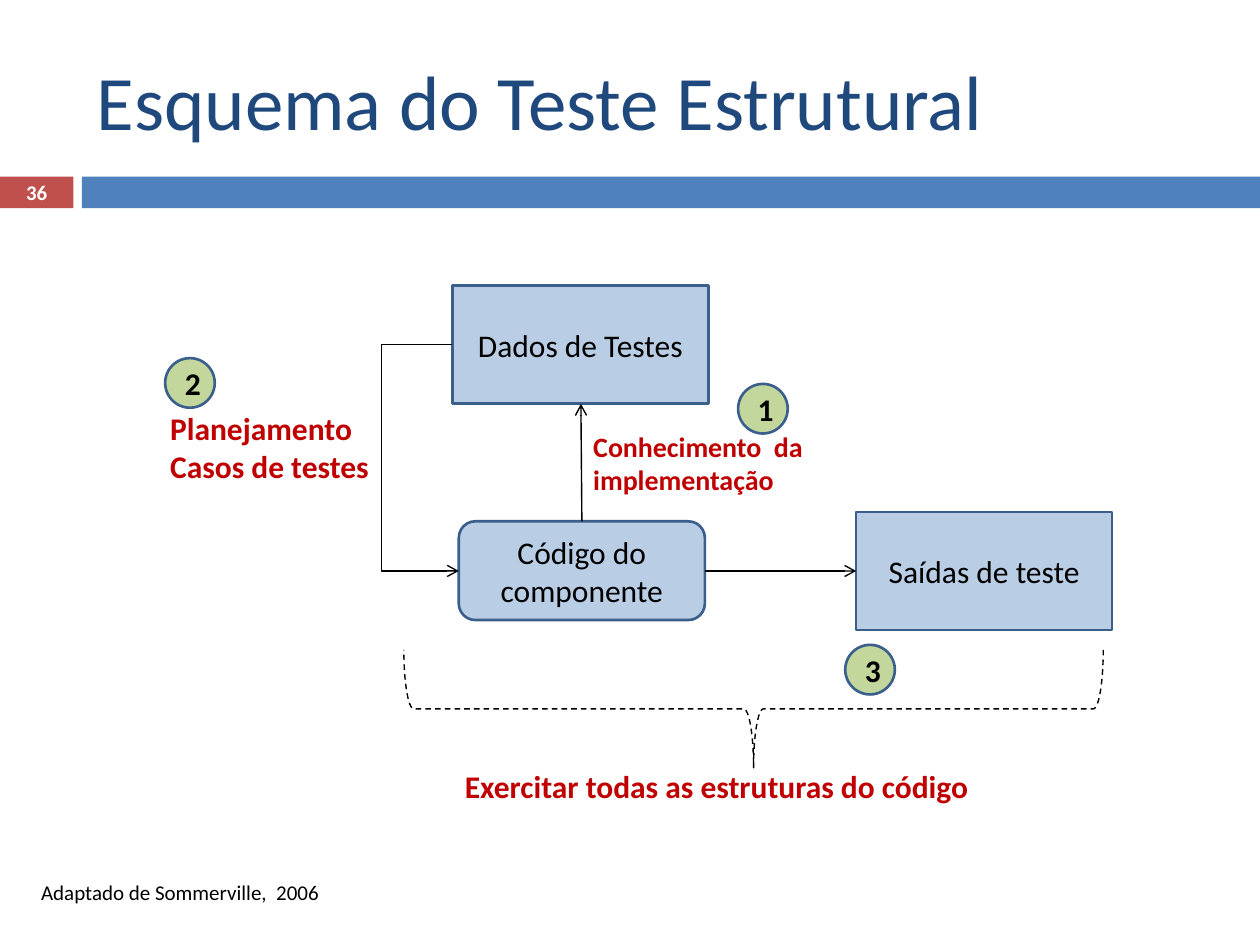
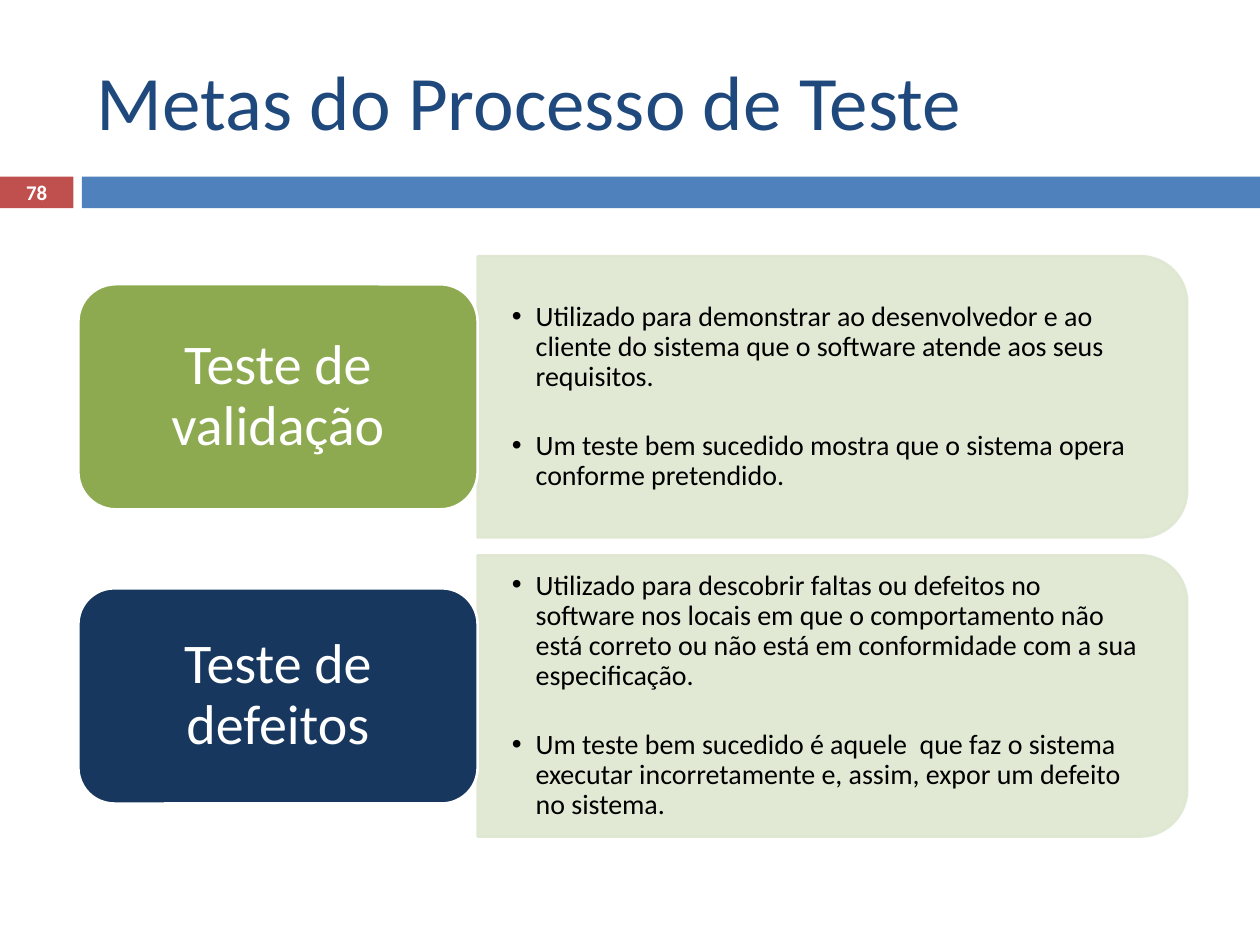
"""Two slides on software testing: structural test scheme and test process goals."""
from dataclasses import dataclass

from lxml import etree
from pptx import Presentation
from pptx import util as u
from pptx.dml.color import RGBColor
from pptx.enum import dml, shapes, text
from pptx.oxml.ns import qn

SHAPE = shapes.MSO_SHAPE
LEFT, CENTER = text.PP_ALIGN.LEFT, text.PP_ALIGN.CENTER
TOP, MIDDLE = text.MSO_ANCHOR.TOP, text.MSO_ANCHOR.MIDDLE


@dataclass(frozen=True)
class Theme:
    """Colours, font and type sizes shared by the slides."""
    font: str = "Calibri"
    heading: str = "1F497D"
    number_band: str = "C0504D"
    title_band: str = "4F81BD"
    ink: str = "000000"
    paper: str = "FFFFFF"
    accent: str = "C00000"
    box: str = "B9CDE5"
    badge: str = "C3D69B"
    outline: str = "3A5F8C"
    panel: str = "DEE7D1"
    validation: str = "8DAA51"
    defects: str = "17375E"
    title_size: float = 44
    goal_size: float = 32
    body_size: float = 18
    detail_size: float = 16
    source_size: float = 12
    number_size: float = 11.9
    outline_width: float = 1.5
    arrow_width: float = 0.79


THEME = Theme()


def rgb(color):
    """Turn a hex string into a colour."""
    return RGBColor.from_string(color)


def sub(parent, tag, **attributes):
    """Append a DrawingML element with the given attributes."""
    return etree.SubElement(parent, qn(tag), attributes)


def write(shape, lines, size, color=THEME.ink, bold=False, align=LEFT,
          anchor=TOP, margins=None, spacing=None):
    """Write one paragraph per line and return the paragraphs."""
    frame = shape.text_frame
    frame.word_wrap = True
    frame.vertical_anchor = anchor
    if margins:
        side, edge = (u.Cm(margin) for margin in margins)
        frame.margin_left = frame.margin_right = side
        frame.margin_top = frame.margin_bottom = edge
    for index, line in enumerate(lines):
        paragraph = frame.paragraphs[0] if index == 0 else frame.add_paragraph()
        paragraph.alignment = align
        paragraph.line_spacing = spacing
        run = paragraph.add_run()
        run.text = line
        run.font.name = THEME.font
        run.font.size = u.Pt(size)
        run.font.bold = bold
        run.font.color.rgb = rgb(color)
    return frame.paragraphs


def add_label(slide, area, lines, size, **style):
    """Add a text box over the area and return its paragraphs."""
    return write(slide.shapes.add_textbox(*map(u.Cm, area)), lines, size, **style)


def add_figure(slide, kind, area, fill=None, line=None, width=THEME.outline_width):
    """Add a flat preset shape."""
    figure = slide.shapes.add_shape(kind, *map(u.Cm, area))
    figure.shadow.inherit = False
    if fill:
        figure.fill.solid()
        figure.fill.fore_color.rgb = rgb(fill)
    else:
        figure.fill.background()
    if line:
        figure.line.color.rgb = rgb(line)
        figure.line.width = u.Pt(width)
    else:
        figure.line.fill.background()
    return figure


def add_node(slide, kind, area, caption):
    """Add a captioned diagram box."""
    node = add_figure(slide, kind, area, THEME.box, THEME.outline)
    write(node, [caption], THEME.body_size, align=CENTER, anchor=MIDDLE)


def add_badge(slide, left, top, step):
    """Add a numbered circle."""
    badge = add_figure(slide, SHAPE.OVAL, (left, top, 1, 1), THEME.badge, THEME.outline)
    write(badge, [step], THEME.body_size, bold=True, align=CENTER, anchor=MIDDLE)


def add_arrow(slide, start, end, elbow_x=None):
    """Add an arrow, bent through elbow_x when that is given."""
    kind = shapes.MSO_CONNECTOR
    arrow = slide.shapes.add_connector(
        kind.STRAIGHT if elbow_x is None else kind.ELBOW, *map(u.Cm, start + end))
    arrow.line.color.rgb = rgb(THEME.ink)
    arrow.line.width = u.Pt(THEME.arrow_width)
    sub(arrow.line._get_or_add_ln(), "a:tailEnd", type="arrow")
    properties = arrow._element.spPr
    sub(properties, "a:effectLst")
    if elbow_x is not None:
        bend = round((elbow_x - start[0]) / (end[0] - start[0]) * 100000)
        guides = properties.find(qn("a:prstGeom")).find(qn("a:avLst"))
        sub(guides, "a:gd", name="adj1", fmla=f"val {bend}")


def add_bullets(slide, area, points):
    """Add a bulleted list set apart by paragraph spacing."""
    paragraphs = add_label(slide, area, points, THEME.detail_size, anchor=MIDDLE,
                           margins=(0.69, 0.36), spacing=0.9)
    for paragraph in paragraphs:
        properties = paragraph._p.get_or_add_pPr()
        hang = u.Cm(0.48)
        properties.set("marL", str(hang))
        properties.set("indent", str(-hang))
        sub(properties, "a:buFont", typeface="Arial")
        sub(properties, "a:buChar", char="•")
    for paragraph in paragraphs[1:]:
        paragraph.space_before = u.Pt(22)


def add_goal(slide, middle, height, color, goal, points):
    """Add a goal tile and its panel, both centred on the middle height."""
    left, tile_width, panel_width, panel_height = 1.58, 8.05, 14.3, 5.67
    panel_left = left + tile_width
    panel_area = (panel_left + (panel_width - panel_height) / 2,
                  middle - panel_width / 2, panel_height, panel_width)
    panel = add_figure(slide, SHAPE.ROUND_2_SAME_RECTANGLE, panel_area,
                       THEME.panel, THEME.panel)
    panel.rotation = 90
    for paint in panel._element.spPr.iter(qn("a:srgbClr")):
        sub(paint, "a:alpha", val="90000")
    add_bullets(slide, (panel_left, middle - 2.55, 14.02, 5.1), points)
    tile = add_figure(slide, SHAPE.ROUNDED_RECTANGLE,
                      (left, middle - height / 2, tile_width, height), color, THEME.paper)
    write(tile, [goal], THEME.goal_size, color=THEME.paper, align=CENTER,
          anchor=MIDDLE, margins=(0.33, 0.18), spacing=0.9)


def add_page(deck, title, number):
    """Add a blank slide with the shared bands, title and number."""
    slide = deck.slides.add_slide(deck.slide_layouts[6])
    number_band = add_figure(slide, SHAPE.RECTANGLE, (0, 3.56, 1.48, 0.64),
                             THEME.number_band)
    write(number_band, [number], THEME.number_size, color=THEME.paper, bold=True,
          align=CENTER, anchor=MIDDLE, margins=(0, 0))
    add_figure(slide, SHAPE.RECTANGLE, (1.65, 3.56, 23.75, 0.64), THEME.title_band)
    add_label(slide, (1.7, 0.64, 22.65, 2.74), [title], THEME.title_size,
              color=THEME.heading, anchor=MIDDLE)
    return slide


def build_scheme(deck):
    """Build the structural test diagram."""
    slide = add_page(deck, "Esquema do Teste Estrutural", "36")
    add_label(slide, (0.58, 17.6, 7.95, 0.76), ["Adaptado de Sommerville,  2006"],
              THEME.source_size)

    add_node(slide, SHAPE.RECTANGLE, (9.12, 5.76, 5.16, 2.38), "Dados de Testes")
    add_node(slide, SHAPE.ROUNDED_RECTANGLE, (9.25, 10.51, 4.96, 1.99),
             "Código do componente")
    add_node(slide, SHAPE.RECTANGLE, (17.26, 10.32, 5.16, 2.38), "Saídas de teste")

    add_arrow(slide, (11.73, 10.51), (11.71, 8.14))
    add_arrow(slide, (14.21, 11.51), (17.26, 11.51))
    add_arrow(slide, (9.12, 6.94), (9.25, 11.51), elbow_x=7.69)

    brace = add_figure(slide, SHAPE.RIGHT_BRACE, (14, 7.24, 2.38, 14.1),
                       line=THEME.ink, width=THEME.arrow_width)
    brace.rotation = 90
    brace.line.dash_style = dml.MSO_LINE.DASH

    remarks = [
        ((3.18, 8.13, 5.94, 1.8), ["Planejamento", "Casos de testes"], THEME.body_size),
        ((11.71, 8.53, 5.94, 1.63), ["Conhecimento  da implementação"],
         THEME.detail_size),
        ((9.12, 15.34, 12.5, 1.02), ["Exercitar todas as estruturas do código"],
         THEME.body_size),
    ]
    for area, lines, size in remarks:
        add_label(slide, area, lines, size, color=THEME.accent, bold=True)

    for left, top, step in [(14.88, 7.74, "1"), (3.33, 7.22, "2"), (17.04, 13, "3")]:
        add_badge(slide, left, top, step)


def build_goals(deck):
    """Build the two test process goals."""
    slide = add_page(deck, "Metas do Processo de Teste", "78")
    add_goal(slide, 8, 4.54, THEME.validation, "Teste de validação", [
        "Utilizado para demonstrar ao desenvolvedor e ao cliente do sistema que o "
        "software atende aos seus requisitos.",
        "Um teste bem sucedido mostra que o sistema opera conforme pretendido.",
    ])
    add_goal(slide, 14.03, 4.34, THEME.defects, "Teste de defeitos", [
        "Utilizado para descobrir faltas ou defeitos no software nos locais em que o "
        "comportamento não está correto ou não está em conformidade com a sua "
        "especificação.",
        "Um teste bem sucedido é aquele  que faz o sistema executar incorretamente e, "
        "assim, expor um defeito no sistema.",
    ])


def main():
    """Build and save the deck."""
    deck = Presentation()
    deck.slide_width, deck.slide_height = u.Cm(25.4), u.Cm(19.05)
    build_scheme(deck)
    build_goals(deck)
    deck.save("out.pptx")


if __name__ == "__main__":
    main()
